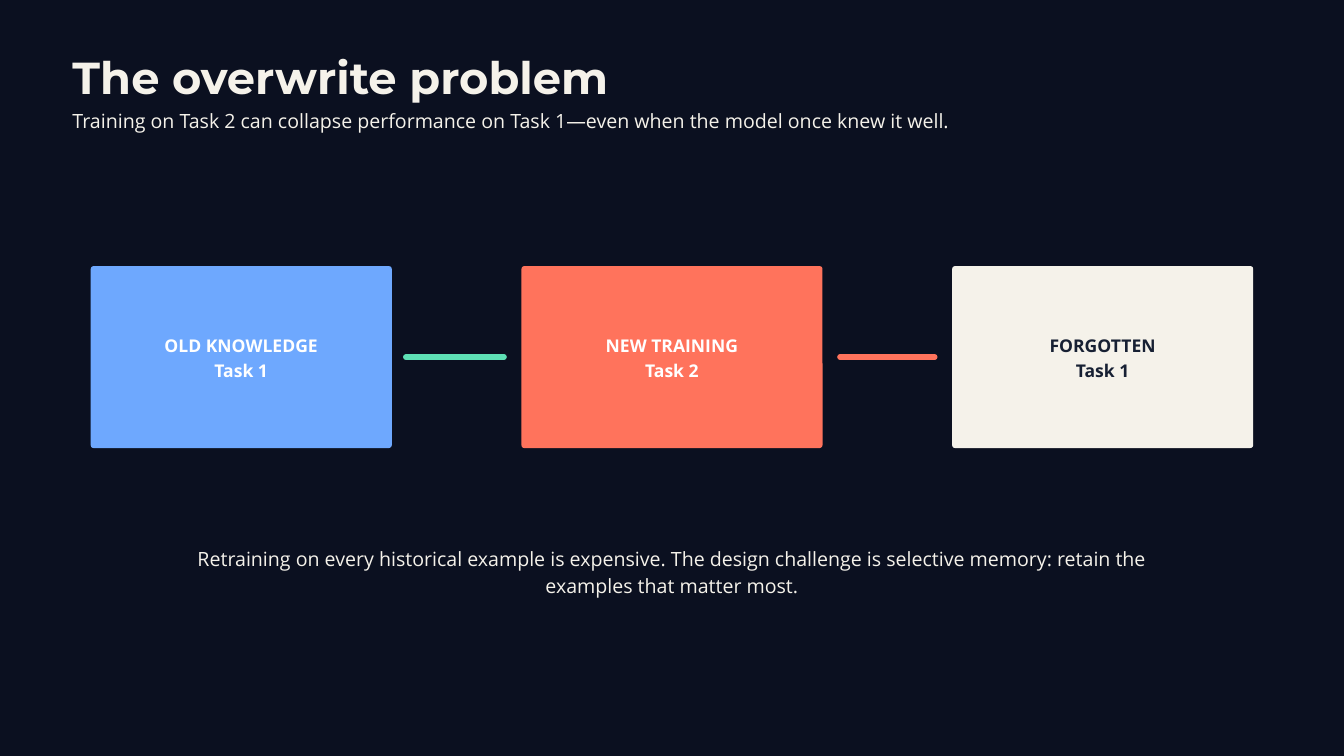
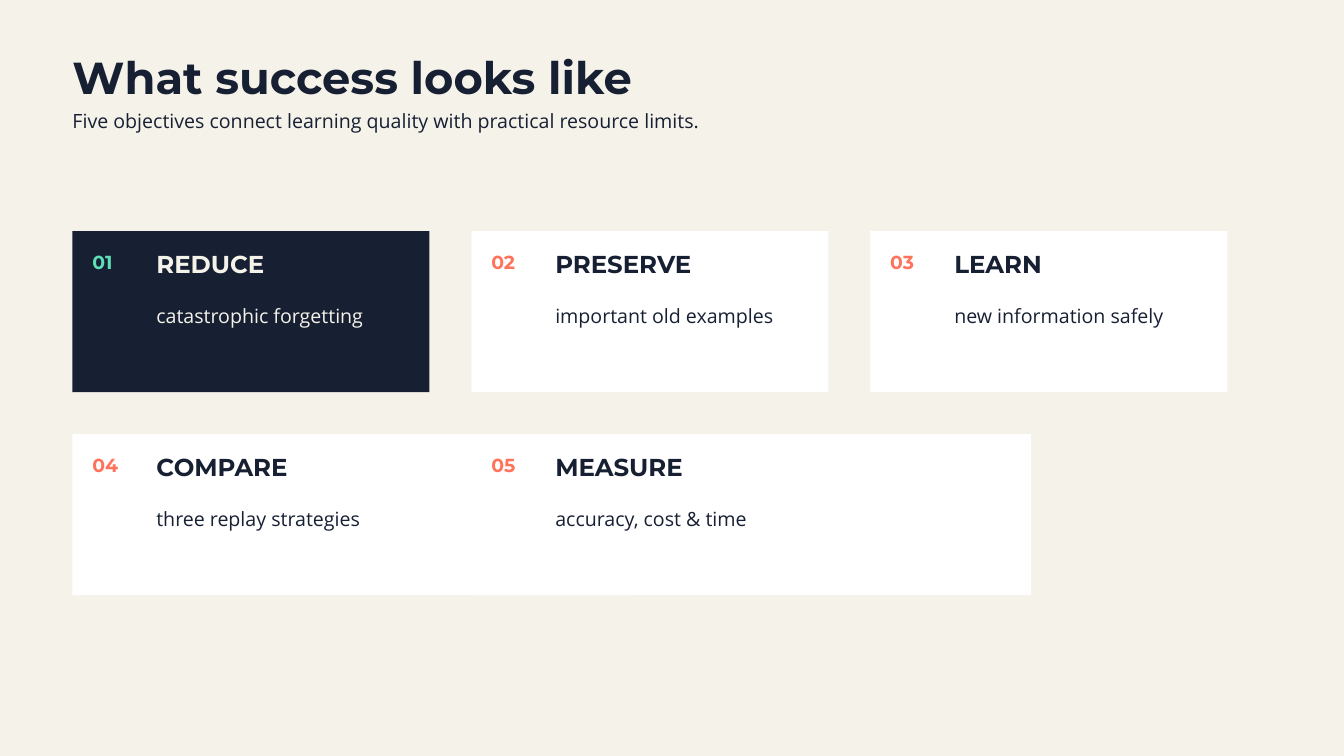
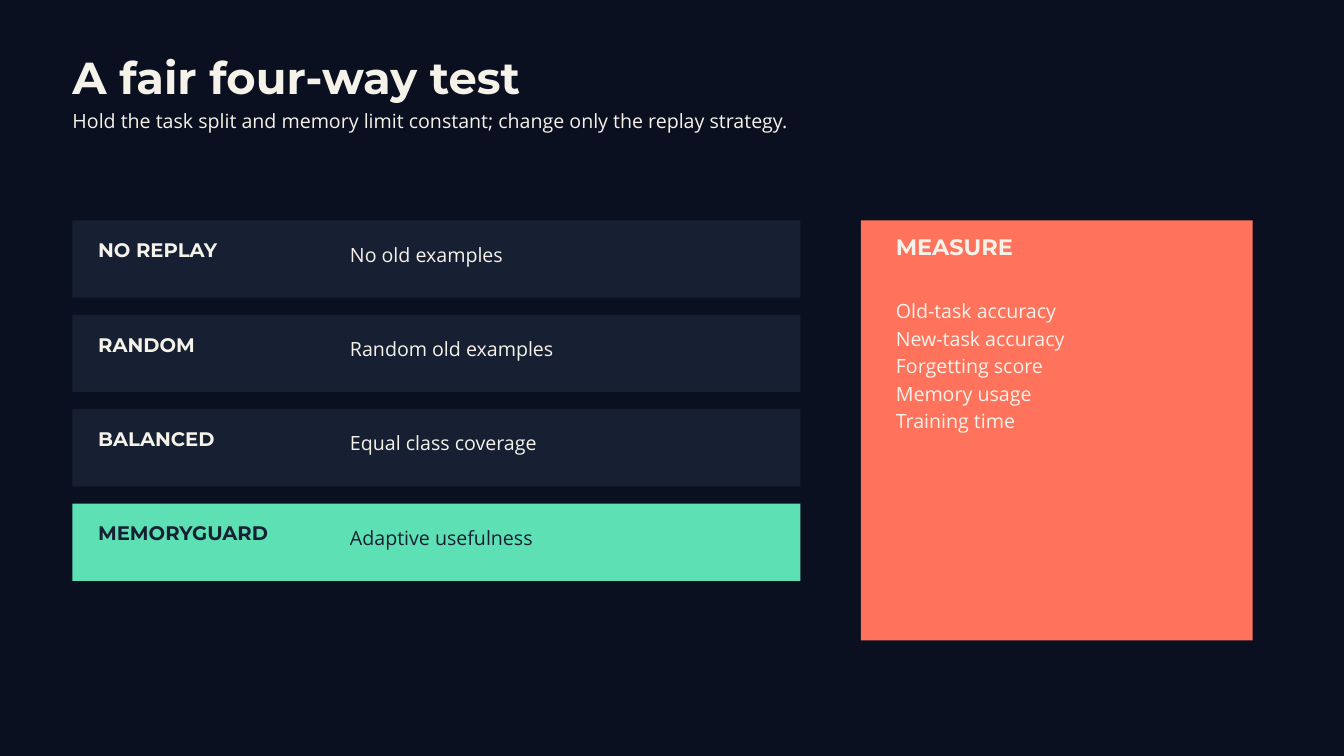
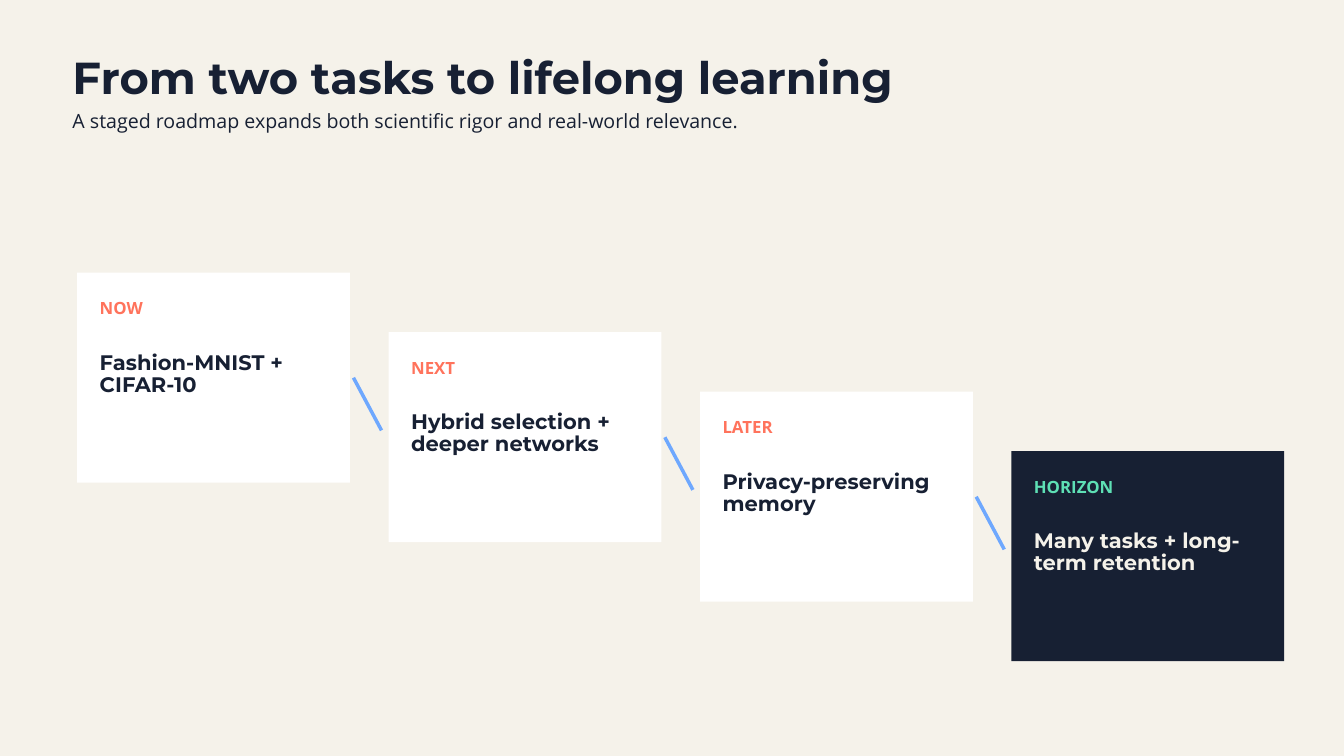
import pptx
import pptx.util
import pptx.dml.color
import pptx.enum.shapes
import pptx.enum.text
import pptx.oxml.ns
import lxml.etree

Cm = pptx.util.Cm
Pt = pptx.util.Pt
KIND = pptx.enum.shapes.MSO_SHAPE
ALIGN = pptx.enum.text.PP_ALIGN
ANCHOR = pptx.enum.text.MSO_ANCHOR

COLORS = {
    "night": "0B1020",
    "navy": "172033",
    "cream": "F5F2EA",
    "white": "FFFFFF",
    "blue": "6EA8FE",
    "coral": "FF735C",
    "mint": "5EE0B5",
}
HEAD = "Montserrat"
BODY = "Open Sans"
LEAD = {HEAD: 1.05, BODY: 1.4}
LEFT = 2.74


def tint(name):
    return pptx.dml.color.RGBColor.from_string(COLORS[name])


def tag(parent, name, **attrs):
    return lxml.etree.SubElement(parent, pptx.oxml.ns.qn(name), **attrs)


def write(shape, text, color, size=21, font=BODY, bold=None, lead=None,
          align=ALIGN.LEFT, anchor=ANCHOR.TOP, pads=(0, 0, 0, 0), plain=False):
    frame = shape.text_frame
    frame.word_wrap = True
    frame.auto_size = pptx.enum.text.MSO_AUTO_SIZE.NONE
    frame.vertical_anchor = anchor
    frame.margin_left, frame.margin_top, frame.margin_right, frame.margin_bottom = map(Cm, pads)
    frame.text = text
    for para in frame.paragraphs:
        para.alignment = align
        para.line_spacing = Pt(size * (lead or LEAD[font]))
        if plain:
            para.space_before = Pt(0)
            props = para._p.get_or_add_pPr()
            props.set("marL", "0")
            props.set("indent", "0")
            tag(props, "a:buNone")
        para.font.size = Pt(size)
        para.font.name = font
        para.font.bold = font == HEAD if bold is None else bold
        para.font.color.rgb = tint(color)


def place(shape, x, y, w, h):
    shape.left, shape.top, shape.width, shape.height = map(Cm, (x, y, w, h))


def label(slide, x, y, w, h, text, color, **style):
    write(slide.shapes.add_textbox(Cm(x), Cm(y), Cm(w), Cm(h)), text, color, **style)


def block(slide, x, y, w, h, color, kind=KIND.RECTANGLE):
    shape = slide.shapes.add_shape(kind, Cm(x), Cm(y), Cm(w), Cm(h))
    shape.shadow.inherit = False
    shape.fill.solid()
    shape.fill.fore_color.rgb = tint(color)
    shape.line.fill.background()
    return shape


def link(slide, x1, y1, x2, y2, color, width, cap="flat"):
    line = slide.shapes.add_connector(
        pptx.enum.shapes.MSO_CONNECTOR.STRAIGHT, Cm(x1), Cm(y1), Cm(x2), Cm(y2))
    line.line.color.rgb = tint(color)
    line.line.width = Pt(width)
    line.line._get_or_add_ln().set("cap", cap)
    tag(line._element.spPr, "a:effectLst")


def start(deck, title, lead, dark, layout=5):
    slide = deck.slides.add_slide(deck.slide_layouts[layout])
    fill = slide.background.fill
    fill.solid()
    fill.fore_color.rgb = tint("night" if dark else "cream")
    ink = "cream" if dark else "navy"
    place(slide.shapes.title, LEFT, 2.12, 39.67, 1.8)
    write(slide.shapes.title, title, ink, size=48, font=HEAD)
    label(slide, LEFT, 3.96, 39.16, 1, lead, ink)
    return slide


def node(slide, x, y, w, h, text, fill, ink):
    shape = block(slide, x, y, w, h, fill, KIND.ROUNDED_RECTANGLE)
    shape.adjustments[0] = 0.016
    write(shape, text, ink, size=18.8, bold=True, align=ALIGN.CENTER,
          anchor=ANCHOR.MIDDLE, pads=(0.15, 0.15, 0.15, 0.23))


def flow(slide, x, y, w, h):
    wide = 11.38
    step = (w - wide) / 2
    nodes = [
        ("OLD KNOWLEDGE\nTask 1", "blue", "white"),
        ("NEW TRAINING\nTask 2", "coral", "white"),
        ("FORGOTTEN\nTask 1", "cream", "navy"),
    ]
    for i, (text, fill, ink) in enumerate(nodes):
        node(slide, x + i * step, y, wide, h, text, fill, ink)
    mid = y + h / 2
    for a, b, color in [(11.91, 15.62, "mint"), (28.32, 31.9, "coral")]:
        link(slide, x + a, mid, x + b, mid, color, 6, "rnd")


def card(slide, x, y, w, h, num, head, text, dark):
    ink = "cream" if dark else "navy"
    block(slide, x, y, w, h, "navy" if dark else "white")
    label(slide, x + 0.75, y + 0.61, 2.12, 0.91, num, "mint" if dark else "coral",
          size=20.2, font=HEAD, lead=1.4)
    label(slide, x + 3.17, y + 0.81, w - 4.1, 1.02, head, ink, size=26.2, font=HEAD)
    label(slide, x + 3.17, y + 2.62, w - 4.22, 0.97, text, ink)


def goals(slide, x, y):
    cards = [
        ("REDUCE", "catastrophic forgetting"),
        ("PRESERVE", "important old examples"),
        ("LEARN", "new information safely"),
        ("COMPARE", "three replay strategies"),
        ("MEASURE", "accuracy, cost & time"),
    ]
    for i, (head, text) in enumerate(cards):
        row, col = divmod(i, 3)
        card(slide, x + 15.08 * col, y + 7.67 * row, 21.16 if row else 13.49, 6.09,
             f"{i + 1:02}", head, text, i == 0)


def tests(slide, x, y, w, h):
    tall = 2.92
    step = (h - tall) / 3
    rows = [
        ("NO REPLAY", "No old examples"),
        ("RANDOM", "Random old examples"),
        ("BALANCED", "Equal class coverage"),
        ("MEMORYGUARD", "Adaptive usefulness"),
    ]
    for i, (head, text) in enumerate(rows):
        last = i == len(rows) - 1
        ink = "navy" if last else "cream"
        top = y + i * step
        block(slide, x, top, w, tall, "mint" if last else "navy")
        label(slide, x + 0.97, top + 0.78, 8.46, 0.81, head, ink, font=HEAD)
        label(slide, x + 10.49, top + 0.69, 15.62, 0.97, text, ink)


def panel(slide, x, y, w, h):
    back = block(slide, x, y, w, h, "coral")
    label(slide, x + 1.32, y + 0.61, 11.38, 0.91, "MEASURE", "cream", size=24, font=HEAD)
    items = ["Old-task accuracy", "New-task accuracy", "Forgetting score",
             "Memory usage", "Training time"]
    body = slide.placeholders[1]
    place(body, x + 1.32, y + 2.84, 12.7, 5.08)
    write(body, "\n".join(items), "cream", plain=True)
    back._element.addnext(body._element)


def stairs(slide, x, y, w, h):
    wide, tall = 10.31, 7.94
    stages = [
        ("NOW", "Fashion-MNIST + CIFAR-10"),
        ("NEXT", "Hybrid selection + deeper networks"),
        ("LATER", "Privacy-preserving memory"),
        ("HORIZON", "Many tasks + long-term retention"),
    ]
    last = len(stages) - 1
    for i, (when, text) in enumerate(stages):
        left = x + i * (w - wide) / last
        top = y + i * (h - tall) / last
        dark = i == last
        block(slide, left, top, wide, tall, "navy" if dark else "white")
        label(slide, left + 0.85, top + 0.83, 8.46, 0.81, when,
              "mint" if dark else "coral", size=18, bold=True)
        label(slide, left + 0.85, top + 3.02, 8.61, 1.7, text,
              "cream" if dark else "navy", size=22.5, font=HEAD)
        if not dark:
            link(slide, left + 10.44, top + tall / 2, left + 11.5, top + 5.96, "blue", 3.75)


def main():
    deck = pptx.Presentation()
    deck.slide_width, deck.slide_height = Cm(50.8), Cm(28.58)

    slide = start(deck, "The overwrite problem",
                  "Training on Task 2 can collapse performance on Task 1—even when "
                  "the model once knew it well.", True)
    flow(slide, 3.43, 10.06, 43.94, 6.88)
    label(slide, 6.88, 20.52, 37.03, 2.03,
          "Retraining on every historical example is expensive. The design challenge "
          "is selective memory: retain the examples that matter most.",
          "cream", align=ALIGN.CENTER)

    slide = start(deck, "What success looks like",
                  "Five objectives connect learning quality with practical resource limits.",
                  False)
    goals(slide, LEFT, 8.74)

    slide = start(deck, "A fair four-way test",
                  "Hold the task split and memory limit constant; change only the "
                  "replay strategy.", True, 1)
    tests(slide, LEFT, 8.33, 27.51, 13.63)
    panel(slide, 32.54, 8.33, 14.81, 15.88)

    slide = start(deck, "From two tasks to lifelong learning",
                  "A staged roadmap expands both scientific rigor and real-world relevance.",
                  False)
    stairs(slide, 2.92, 10.31, 45.62, 14.69)

    deck.save("out.pptx")


if __name__ == "__main__":
    main()
